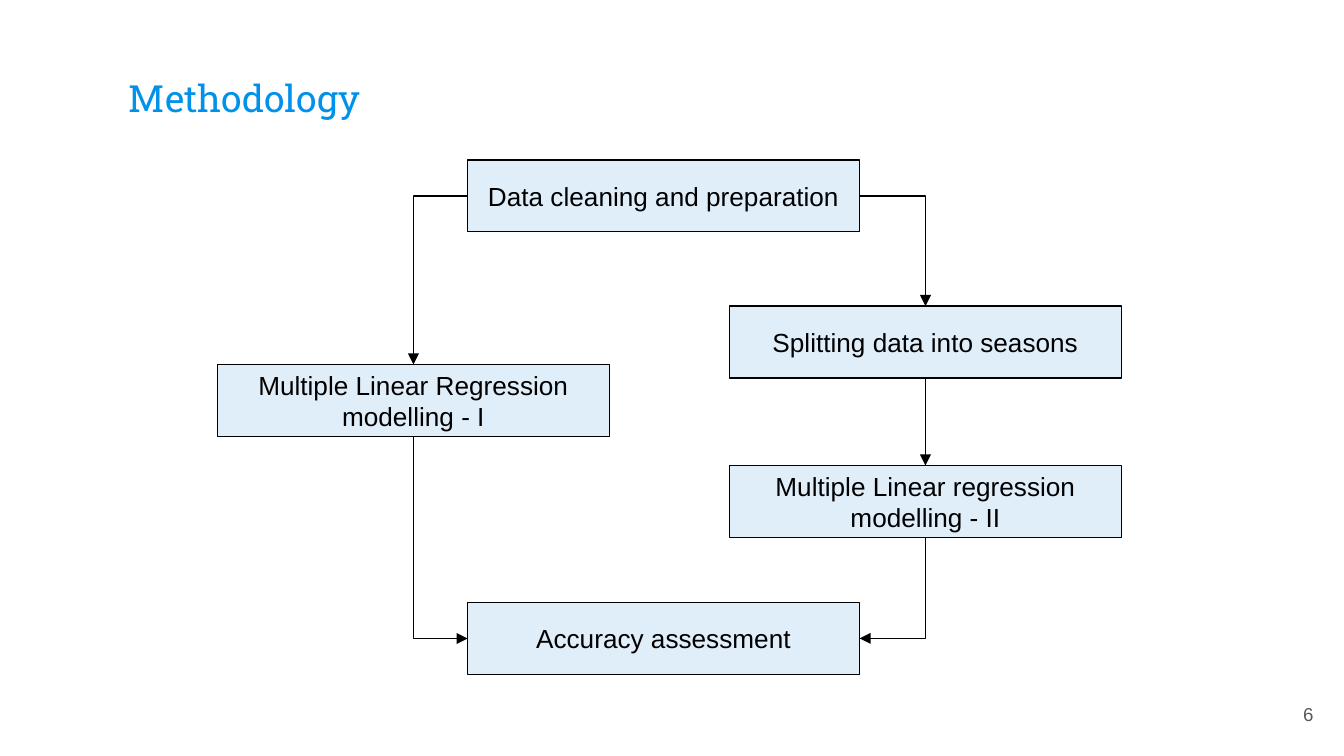
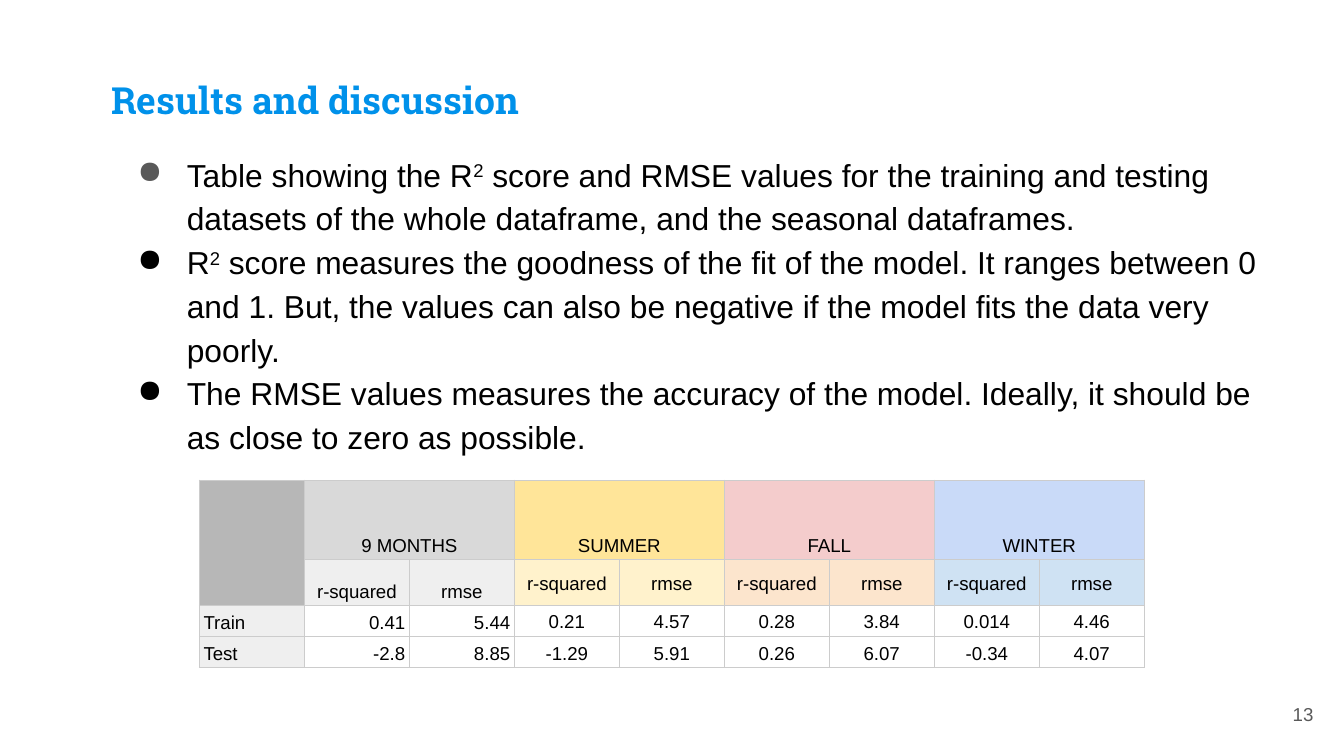
import pptx
import pptx.util
import pptx.dml.color
import pptx.enum.shapes
import pptx.enum.text
import pptx.oxml.ns
import pptx.oxml.xmlchemy

Pt = pptx.util.Pt
qn = pptx.oxml.ns.qn
new_element = pptx.oxml.xmlchemy.OxmlElement
ALIGN = pptx.enum.text.PP_ALIGN
ANCHOR = pptx.enum.text.MSO_ANCHOR
CONNECTOR = pptx.enum.shapes.MSO_CONNECTOR

COLORS = {
    "title": "0091EA", "ink": "000000", "muted": "595959", "step": "E0EEFA",
    "border": "CCCCCC", "corner": "B7B7B7", "label": "EFEFEF",
}
BODY_FONT = "Arial"
TITLE_FONT = "Roboto Slab"
TOP, LEFT, BOTTOM, RIGHT = range(4)

STEP_SIZE = (210, 38.5)
STEPS = {
    "prepare": ("Data cleaning and preparation", 134, 0),
    "model_one": ("Multiple Linear Regression modelling - I", 0, 109.6),
    "split": ("Splitting data into seasons", 274.3, 78.3),
    "model_two": ("Multiple Linear regression modelling - II", 274.3, 163.7),
    "assess": ("Accuracy assessment", 134, 237.1),
}
FLOWS = [
    ("prepare", LEFT, "model_one", TOP),
    ("model_one", BOTTOM, "assess", LEFT),
    ("prepare", RIGHT, "split", TOP),
    ("model_two", BOTTOM, "assess", RIGHT),
    ("split", BOTTOM, "model_two", TOP),
]

BULLETS = [
    ("muted", ["Table showing the R", "2",
               " score and RMSE values for the training and testing datasets "
               "of the whole dataframe, and the seasonal dataframes."]),
    ("ink", ["R", "2",
             " score measures the goodness of the fit of the model. It ranges "
             "between 0 and 1. But, the values can also be negative if the "
             "model fits the data very poorly."]),
    ("ink", ["The RMSE values measures the accuracy of the model. Ideally, "
             "it should be as close to zero as possible."]),
]

PERIODS = [
    ("9 MONTHS", "D9D9D9", "EFEFEF"),
    ("SUMMER", "FFE599", "FFF2CC"),
    ("FALL", "F4CCCC", "FCE5CD"),
    ("WINTER", "C9DAF8", "CFE2F3"),
]
SCORES = [
    ("Train", ["0.41", "5.44", "0.21", "4.57", "0.28", "3.84", "0.014", "4.46"]),
    ("Test", ["-2.8", "8.85", "-1.29", "5.91", "0.26", "6.07", "-0.34", "4.07"]),
]
ROW_HEIGHTS = [42.3, 24.7, 16.8, 16.8]


def rgb(color):
    return pptx.dml.color.RGBColor.from_string(color)


def add_span(para, text, size, color, font=BODY_FONT, bold=False):
    span = para.add_run()
    span.text = text
    span.font.size = Pt(size)
    span.font.name = font
    span.font.bold = bold
    span.font.color.rgb = rgb(color)
    return span


def set_frame(frame, anchor):
    frame.word_wrap = True
    frame.vertical_anchor = anchor
    frame.margin_left = frame.margin_right = Pt(7.2)
    frame.margin_top = frame.margin_bottom = Pt(7.2)
    return frame


def add_text_box(page, area, anchor):
    box = page.shapes.add_textbox(*map(Pt, area))
    return set_frame(box.text_frame, anchor)


def add_title(page, area, text, bold=False):
    frame = add_text_box(page, area, ANCHOR.MIDDLE)
    add_span(frame.paragraphs[0], text, 20, COLORS["title"], TITLE_FONT, bold)


def add_page_number(page, number):
    frame = add_text_box(page, (667.5, 367.2, 43.2, 31), ANCHOR.MIDDLE)
    para = frame.paragraphs[0]
    para.alignment = ALIGN.RIGHT
    add_span(para, str(number), 10, COLORS["muted"])


def add_step(page, left, top, text):
    box = page.shapes.add_shape(
        pptx.enum.shapes.MSO_SHAPE.RECTANGLE,
        Pt(left), Pt(top), *map(Pt, STEP_SIZE))
    box.shadow.inherit = False
    box.fill.solid()
    box.fill.fore_color.rgb = rgb(COLORS["step"])
    box.line.color.rgb = rgb(COLORS["ink"])
    box.line.width = Pt(0.75)
    para = set_frame(box.text_frame, ANCHOR.MIDDLE).paragraphs[0]
    para.alignment = ALIGN.CENTER
    add_span(para, text, 14, COLORS["ink"])
    return box


def bend_once(line, starts_down):
    properties = line.element.spPr
    properties.find(qn("a:prstGeom")).set("prst", "bentConnector2")
    if not starts_down:
        return
    goes_right = line.end_x > line.begin_x
    center_x = line.left + line.width // 2
    center_y = line.top + line.height // 2
    line.width, line.height = line.height, line.width
    line.left = center_x - line.width // 2
    line.top = center_y - line.height // 2
    frame = properties.find(qn("a:xfrm"))
    frame.set("rot", str((270 if goes_right else 90) * 60000))
    frame.set("flipH", "1" if goes_right else "0")


def add_flow(page, source, source_side, target, target_side):
    straight = (source_side, target_side) == (BOTTOM, TOP)
    kind = CONNECTOR.STRAIGHT if straight else CONNECTOR.ELBOW
    line = page.shapes.add_connector(kind, 0, 0, 0, 0)
    line.begin_connect(source, source_side)
    line.end_connect(target, target_side)
    if not straight:
        bend_once(line, source_side == BOTTOM)
    line.line.color.rgb = rgb(COLORS["ink"])
    line.line.width = Pt(0.75)
    arrow = new_element("a:tailEnd")
    arrow.set("type", "triangle")
    properties = line.element.spPr
    properties.find(qn("a:ln")).append(arrow)
    properties.append(new_element("a:effectLst"))


def add_flowchart(page, left, top):
    boxes = {name: add_step(page, left + x, top + y, text)
             for name, (text, x, y) in STEPS.items()}
    for source, source_side, target, target_side in FLOWS:
        add_flow(page, boxes[source], source_side, boxes[target], target_side)


def color_element(color):
    value = new_element("a:srgbClr")
    value.set("val", color)
    return value


def set_bullet(para, color):
    properties = para._p.get_or_add_pPr()
    properties.set("marL", str(Pt(36)))
    properties.set("indent", str(-Pt(26.5)))
    bullet_color = new_element("a:buClr")
    bullet_color.append(color_element(color))
    bullet = new_element("a:buChar")
    bullet.set("char", "●")
    properties.extend([bullet_color, bullet])


def add_bullets(page, area):
    frame = add_text_box(page, area, ANCHOR.TOP)
    for index, (bullet_color, texts) in enumerate(BULLETS):
        para = frame.add_paragraph() if index else frame.paragraphs[0]
        set_bullet(para, COLORS[bullet_color])
        para.line_spacing = 1.15
        for text in texts:
            span = add_span(para, text, 17, COLORS["ink"])
            if text == "2":
                span._r.get_or_add_rPr().set("baseline", "30000")


def set_borders(cell):
    properties = cell._tc.get_or_add_tcPr()
    for index, side in enumerate(("lnL", "lnR", "lnT", "lnB")):
        border = new_element("a:" + side)
        border.set("w", str(Pt(0.6)))
        fill = new_element("a:solidFill")
        fill.append(color_element(COLORS["border"]))
        border.append(fill)
        properties.insert(index, border)


def fill_cell(cell, text, color, align=ALIGN.CENTER, anchor=ANCHOR.MIDDLE):
    cell.margin_left = cell.margin_right = Pt(2.25)
    cell.margin_top = cell.margin_bottom = Pt(1.5)
    cell.vertical_anchor = anchor
    if color:
        cell.fill.solid()
        cell.fill.fore_color.rgb = rgb(color)
    else:
        cell.fill.background()
    set_borders(cell)
    if text:
        para = cell.text_frame.paragraphs[0]
        para.alignment = align
        para.line_spacing = 1.15
        add_span(para, text, 10, COLORS["ink"])


def add_score_table(page, area):
    columns = 1 + 2 * len(PERIODS)
    table = page.shapes.add_table(
        len(ROW_HEIGHTS), columns, *map(Pt, area)).table
    table.first_row = table.horz_banding = False
    for column in table.columns:
        column.width = Pt(area[2] / columns)
    for row, height in zip(table.rows, ROW_HEIGHTS):
        row.height = Pt(height)

    for row in range(2):
        fill_cell(table.cell(row, 0), "", COLORS["corner"])
    table.cell(0, 0).merge(table.cell(1, 0))
    for index, (period, dark, light) in enumerate(PERIODS):
        first = 1 + 2 * index
        anchor = ANCHOR.MIDDLE if index else ANCHOR.BOTTOM
        for offset, measure in enumerate(("r-squared", "rmse")):
            fill_cell(table.cell(0, first + offset), "" if offset else period,
                      dark, anchor=ANCHOR.BOTTOM)
            fill_cell(table.cell(1, first + offset), measure, light,
                      anchor=anchor)
        table.cell(0, first).merge(table.cell(0, first + 1))

    for row, (label, values) in enumerate(SCORES, 2):
        fill_cell(table.cell(row, 0), label, COLORS["label"],
                  ALIGN.LEFT, ANCHOR.BOTTOM)
        for column, value in enumerate(values, 1):
            whole_year = column <= 2
            fill_cell(table.cell(row, column), value, None,
                      ALIGN.RIGHT if whole_year else ALIGN.CENTER,
                      ANCHOR.BOTTOM if whole_year else ANCHOR.MIDDLE)


def add_page(deck, number):
    page = deck.slides.add_slide(deck.slide_layouts[6])
    add_page_number(page, number)
    return page


def build_methodology(deck):
    page = add_page(deck, 6)
    add_title(page, (62, 24.5, 596, 55.5), "Methodology")
    add_flowchart(page, 116.5, 85.7)


def build_results(deck):
    page = add_page(deck, 13)
    add_title(page, (52.5, 34, 236, 39), "Results and discussion", bold=True)
    add_score_table(page, (106.8, 257.2, 506.3, sum(ROW_HEIGHTS)))
    add_bullets(page, (57, 73, 630, 177))


def main():
    deck = pptx.Presentation()
    deck.slide_width = Pt(720)
    deck.slide_height = Pt(405)
    build_methodology(deck)
    build_results(deck)
    deck.save("out.pptx")


if __name__ == "__main__":
    main()
